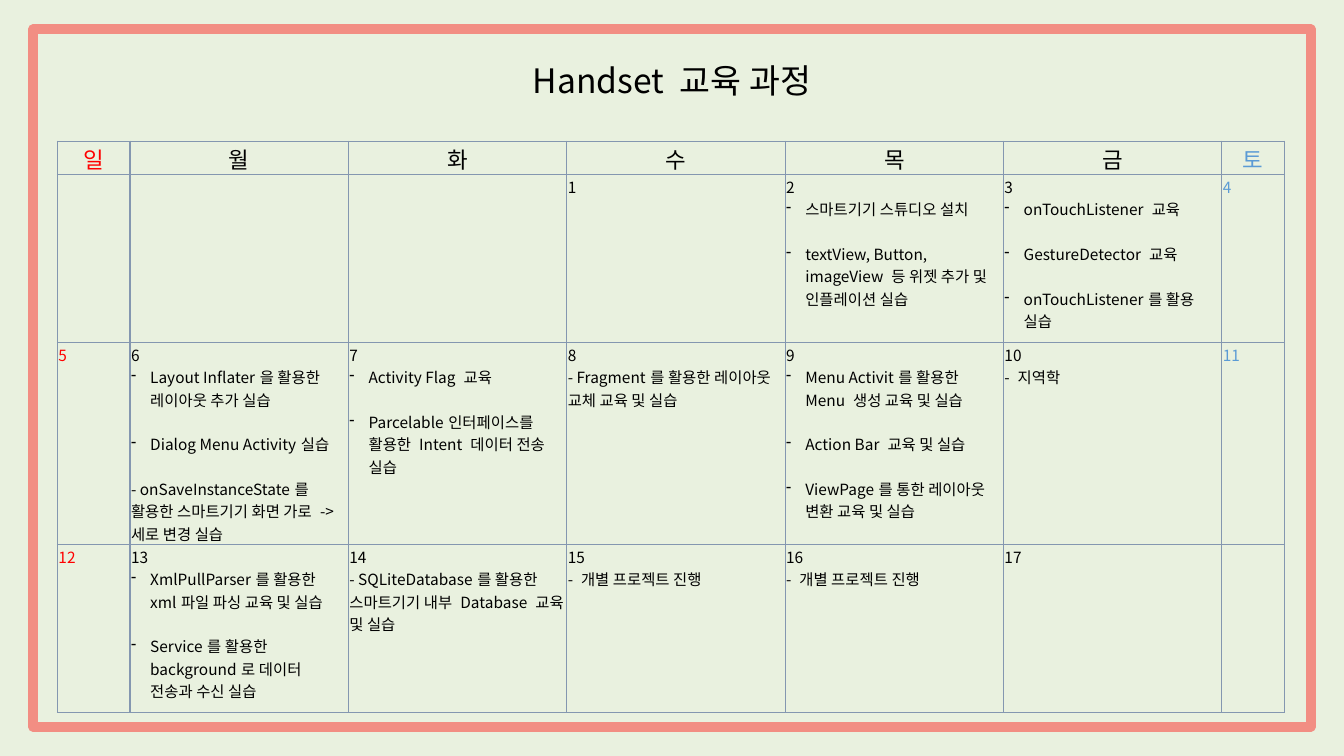
from lxml import etree
from pptx import Presentation
from pptx.dml.color import RGBColor
from pptx.enum.shapes import MSO_SHAPE
from pptx.enum.text import MSO_ANCHOR, PP_ALIGN
from pptx.oxml.ns import qn
from pptx.util import Inches, Pt

RECTANGLE = MSO_SHAPE.RECTANGLE
CENTER = PP_ALIGN.CENTER
LEFT = PP_ALIGN.LEFT
MIDDLE = MSO_ANCHOR.MIDDLE
TOP = MSO_ANCHOR.TOP
BOTTOM = MSO_ANCHOR.BOTTOM

FONT = "Noto Sans CJK KR"
BACKGROUND = "E9F1DF"
FRAME = "F28E83"
GRID = "8497B0"
BLACK = "000000"
SUNDAY = "FF0000"
SATURDAY = "5B9BD5"

WEEKDAYS = "일월화수목금토"
FIRST_WEEKDAY = 3
LAST_DAY = 17
WEEKS = 3
HEADER_HEIGHT = 0.29
SUNDAY_WIDTH = 0.72
SATURDAY_WIDTH = 0.62
LESSONS = {
    2: ["스마트기기 스튜디오 설치",
        "textView, Button, imageView 등 위젯 추가 및 인플레이션 실습"],
    3: ["onTouchListener 교육",
        "GestureDetector 교육",
        "onTouchListener를 활용 실습"],
    6: ["Layout Inflater을 활용한 레이아웃 추가 실습",
        "Dialog Menu Activity실습",
        "- onSaveInstanceState를 활용한 스마트기기 화면 가로 -> 세로 변경 실습"],
    7: ["Activity Flag 교육",
        "Parcelable인터페이스를 활용한 Intent 데이터 전송 실습"],
    8: ["- Fragment를 활용한 레이아웃 교체 교육 및 실습"],
    9: ["Menu Activit를 활용한 Menu 생성 교육 및 실습",
        "Action Bar 교육 및 실습",
        "ViewPage를 통한 레이아웃 변환 교육 및 실습"],
    10: ["- 지역학"],
    13: ["XmlPullParser를 활용한 xml파일 파싱 교육 및 실습",
         "Service를 활용한 background로 데이터 전송과 수신 실습"],
    14: ["- SQLiteDatabase를 활용한 스마트기기 내부 Database 교육 및 실습"],
    15: ["- 개별 프로젝트 진행"],
    16: ["- 개별 프로젝트 진행"],
}


def color(value):
    return RGBColor.from_string(value)


def add_run(paragraph, text, size, text_color=BLACK):
    run = paragraph.add_run()
    run.text = text
    run.font.size = Pt(size)
    run.font.bold = False
    run.font.color.rgb = color(text_color)
    run.font.name = FONT
    etree.SubElement(run.font._element, qn("a:ea"), typeface=FONT)


def add_bullet(paragraph):
    properties = paragraph._p.get_or_add_pPr()
    properties.set("marL", str(Inches(0.19)))
    properties.set("indent", str(Inches(-0.19)))
    etree.SubElement(properties, qn("a:buChar"), char="-")


def format_cell(cell, anchor):
    cell.margin_left = cell.margin_right = cell.margin_top = Inches(0.01)
    cell.margin_bottom = 0
    cell.vertical_anchor = anchor
    properties = cell._tc.get_or_add_tcPr()
    for side in ("lnL", "lnR", "lnT", "lnB"):
        line = etree.SubElement(properties, qn(f"a:{side}"), w=str(Pt(1)))
        fill = etree.SubElement(line, qn("a:solidFill"))
        etree.SubElement(fill, qn("a:srgbClr"), val=GRID)
    cell.fill.background()


def add_frame(slide, left, top, width, height):
    shape = slide.shapes.add_shape(
        RECTANGLE, Inches(left), Inches(top), Inches(width), Inches(height))
    shape.shadow.inherit = False
    shape.fill.background()
    shape.line.color.rgb = color(FRAME)
    shape.line.width = Pt(7)


def add_title(slide, left, top, width, height):
    title = slide.shapes.title
    title.left, title.top = Inches(left), Inches(top)
    title.width, title.height = Inches(width), Inches(height)
    title.text_frame.word_wrap = True
    title.text_frame.vertical_anchor = BOTTOM
    paragraph = title.text_frame.paragraphs[0]
    paragraph.alignment = CENTER
    paragraph.line_spacing = 0.9
    add_run(paragraph, "Handset 교육 과정", 24)


def fill_day(cell, day, day_color):
    add_run(cell.text_frame.paragraphs[0], str(day), 11, day_color)
    for index, lesson in enumerate(LESSONS.get(day, [])):
        paragraph = cell.text_frame.add_paragraph()
        paragraph.alignment = LEFT
        if not lesson.startswith("-"):
            add_bullet(paragraph)
        if index:
            paragraph.space_before = Pt(16)
        add_run(paragraph, lesson, 11)


def add_calendar(slide, left, top, width, height):
    days = len(WEEKDAYS)
    table = slide.shapes.add_table(
        WEEKS + 1, days, Inches(left), Inches(top),
        Inches(width), Inches(height)).table
    table.first_row = False
    table.horz_banding = False
    workday_width = (width - SUNDAY_WIDTH - SATURDAY_WIDTH) / (days - 2)
    widths = [SUNDAY_WIDTH] + [workday_width] * (days - 2) + [SATURDAY_WIDTH]
    colors = [SUNDAY] + [BLACK] * (days - 2) + [SATURDAY]
    table.rows[0].height = Inches(HEADER_HEIGHT)
    for week in range(WEEKS):
        table.rows[week + 1].height = Inches((height - HEADER_HEIGHT) / WEEKS)

    for column, weekday in enumerate(WEEKDAYS):
        table.columns[column].width = Inches(widths[column])
        header = table.cell(0, column)
        format_cell(header, MIDDLE)
        paragraph = header.text_frame.paragraphs[0]
        paragraph.alignment = CENTER
        add_run(paragraph, weekday, 16, colors[column])
        for week in range(WEEKS):
            cell = table.cell(week + 1, column)
            format_cell(cell, TOP)
            day = week * days + column - FIRST_WEEKDAY + 1
            if 1 <= day <= LAST_DAY:
                fill_day(cell, day, colors[column])


def main():
    presentation = Presentation()
    presentation.slide_width = Inches(13.33)
    presentation.slide_height = Inches(7.5)
    slide = presentation.slides.add_slide(presentation.slide_layouts[5])
    slide.background.fill.solid()
    slide.background.fill.fore_color.rgb = color(BACKGROUND)
    add_frame(slide, 0.33, 0.29, 12.67, 6.92)
    add_title(slide, 4.6, 0.55, 4.13, 0.5)
    add_calendar(slide, 0.57, 1.4, 12.17, 5.29)
    presentation.save("out.pptx")


if __name__ == "__main__":
    main()
